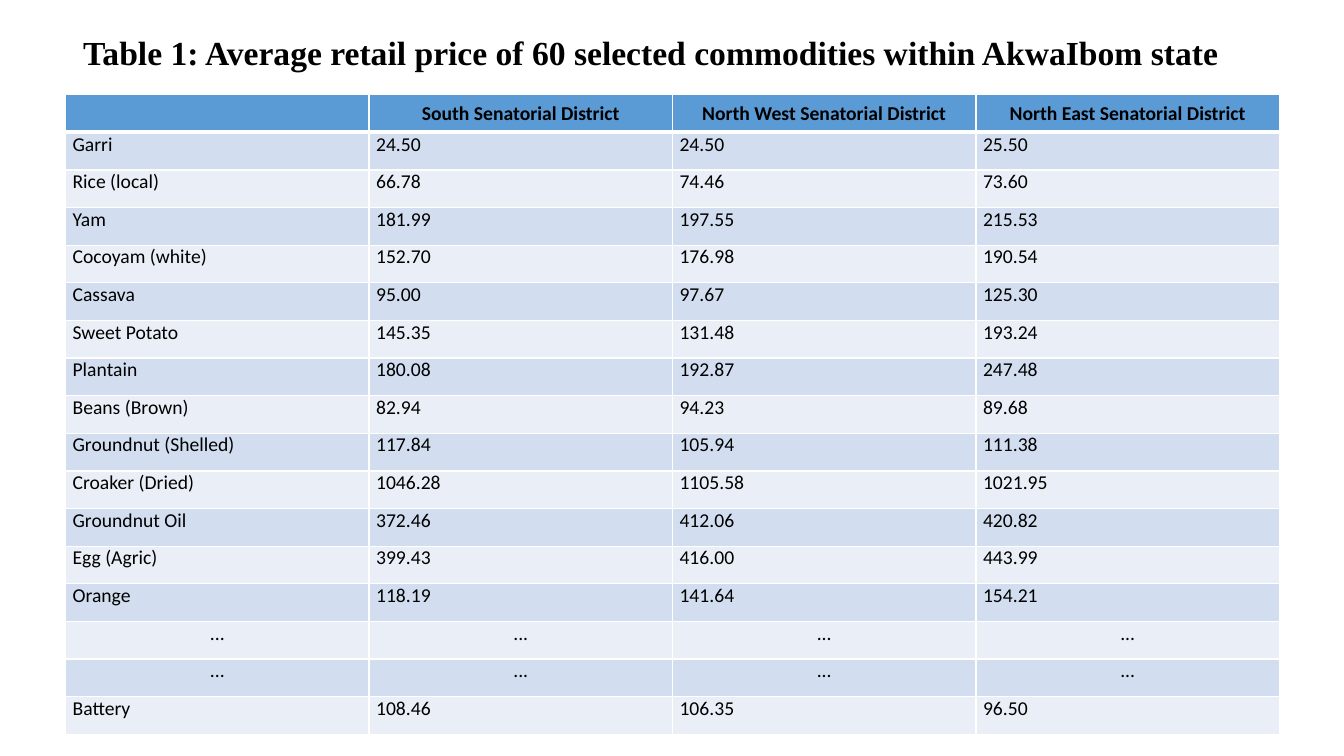
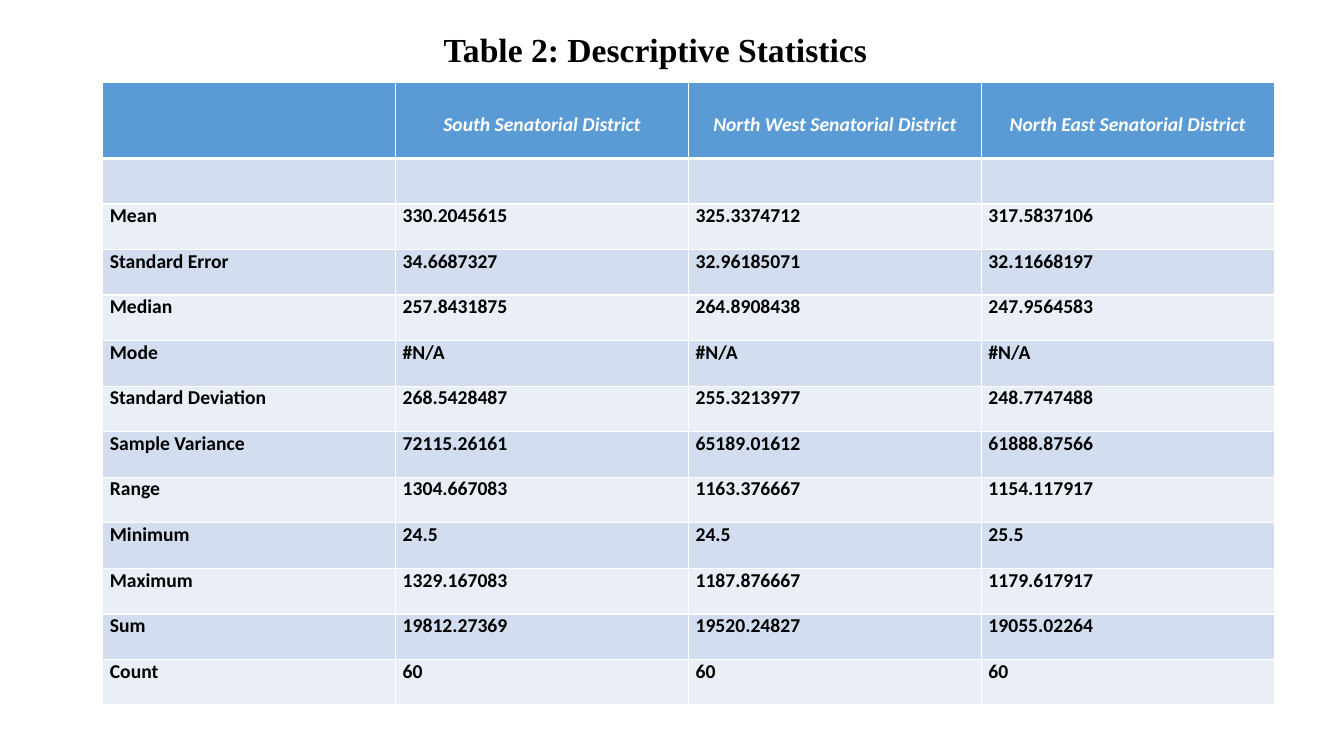
from dataclasses import dataclass

from lxml import etree
from pptx import Presentation
from pptx.dml.color import RGBColor
from pptx.enum.text import MSO_ANCHOR, MSO_AUTO_SIZE, PP_ALIGN
from pptx.oxml.ns import qn
from pptx.util import Inches, Pt

CENTER, LEFT = PP_ALIGN.CENTER, PP_ALIGN.LEFT
MIDDLE, TOP = MSO_ANCHOR.MIDDLE, MSO_ANCHOR.TOP
GROW = MSO_AUTO_SIZE.SHAPE_TO_FIT_TEXT
BLANK_LAYOUT = 6
DISTRICTS = ["", "South Senatorial District", "North West Senatorial District",
             "North East Senatorial District"]
GAP_MARK = "..."

PRICES = [
    ["Garri", "24.50", "24.50", "25.50"],
    ["Rice (local)", "66.78", "74.46", "73.60"],
    ["Yam", "181.99", "197.55", "215.53"],
    ["Cocoyam (white)", "152.70", "176.98", "190.54"],
    ["Cassava", "95.00", "97.67", "125.30"],
    ["Sweet Potato", "145.35", "131.48", "193.24"],
    ["Plantain", "180.08", "192.87", "247.48"],
    ["Beans (Brown)", "82.94", "94.23", "89.68"],
    ["Groundnut (Shelled)", "117.84", "105.94", "111.38"],
    ["Croaker (Dried)", "1046.28", "1105.58", "1021.95"],
    ["Groundnut Oil", "372.46", "412.06", "420.82"],
    ["Egg (Agric)", "399.43", "416.00", "443.99"],
    ["Orange", "118.19", "141.64", "154.21"],
    [GAP_MARK] * 4,
    [GAP_MARK] * 4,
    ["Battery", "108.46", "106.35", "96.50"],
]

STATISTICS = [
    [""] * 4,
    ["Mean", "330.2045615", "325.3374712", "317.5837106"],
    ["Standard Error", "34.6687327", "32.96185071", "32.11668197"],
    ["Median", "257.8431875", "264.8908438", "247.9564583"],
    ["Mode", "#N/A", "#N/A", "#N/A"],
    ["Standard Deviation", "268.5428487", "255.3213977", "248.7747488"],
    ["Sample Variance", "72115.26161", "65189.01612", "61888.87566"],
    ["Range", "1304.667083", "1163.376667", "1154.117917"],
    ["Minimum", "24.5", "24.5", "25.5"],
    ["Maximum", "1329.167083", "1187.876667", "1179.617917"],
    ["Sum", "19812.27369", "19520.24827", "19055.02264"],
    ["Count", "60", "60", "60"],
]


@dataclass(frozen=True)
class Theme:
    ink: str = "000000"
    white: str = "FFFFFF"
    header: str = "5B9BD5"
    bands: tuple = ("D2DEEF", "EAEFF7")
    title_font: str = "Times New Roman"
    table_font: str = "Calibri"
    title_size: int = 24
    table_size: int = 14
    rule: int = 1
    header_rule: int = 3
    cell_inset: float = 0.07


@dataclass(frozen=True)
class CellStyle:
    color: str
    bold: bool = False
    italic: bool = False
    spacing: float = 1.0


class TableDeck:
    """Builds slides; every length is a percentage of the slide's width or height."""

    def __init__(self, theme):
        self.theme = theme
        self.deck = Presentation()
        self.deck.slide_width = Inches(13.33)
        self.deck.slide_height = Inches(7.5)
        self.page = None

    def across(self, percent):
        return round(self.deck.slide_width * percent / 100)

    def down(self, percent):
        return round(self.deck.slide_height * percent / 100)

    def add_page(self):
        self.page = self.deck.slides.add_slide(self.deck.slide_layouts[BLANK_LAYOUT])

    def style_text(self, para, font_name, size, style):
        for span in para.runs:
            font = span.font
            font.name, font.size = font_name, Pt(size)
            font.bold, font.italic = style.bold, style.italic
            font.color.rgb = RGBColor.from_string(style.color)

    def add_title(self, text, left, top, width):
        box = self.page.shapes.add_textbox(
            self.across(left), self.down(top), self.across(width), self.down(6.67))
        frame = box.text_frame
        frame.word_wrap = True
        frame.auto_size = GROW
        frame.text = text
        para = frame.paragraphs[0]
        para.alignment = CENTER
        self.style_text(para, self.theme.title_font, self.theme.title_size,
                        CellStyle(self.theme.ink, bold=True))

    def add_borders(self, cell, top, bottom):
        properties = cell._tc.get_or_add_tcPr()
        widths = {"a:lnL": self.theme.rule, "a:lnR": self.theme.rule,
                  "a:lnT": top, "a:lnB": bottom}
        for position, (tag, width) in enumerate(widths.items()):
            line = etree.Element(qn(tag), w=str(Pt(width)))
            fill = etree.SubElement(line, qn("a:solidFill"))
            etree.SubElement(fill, qn("a:srgbClr"), val=self.theme.white)
            properties.insert(position, line)

    def fill_cell(self, cell, text, fill, style, is_header):
        cell.fill.solid()
        cell.fill.fore_color.rgb = RGBColor.from_string(fill)
        cell.margin_left = cell.margin_right = Inches(self.theme.cell_inset)
        cell.margin_top = cell.margin_bottom = 0
        cell.vertical_anchor = MIDDLE if is_header else TOP
        cell.text_frame.text = text
        para = cell.text_frame.paragraphs[0]
        para.alignment = CENTER if is_header or text == GAP_MARK else LEFT
        para.line_spacing = style.spacing
        self.style_text(para, self.theme.table_font, self.theme.table_size, style)

    def add_table(self, rows, left, top, width, header_height, row_height,
                  header_style, body_style):
        theme = self.theme
        heights = [header_height] + [row_height] * len(rows)
        content = [DISTRICTS] + rows
        table = self.page.shapes.add_table(
            len(content), len(DISTRICTS), self.across(left), self.down(top),
            self.across(width), self.down(sum(heights))).table
        table.horz_banding = False
        for row_index, texts in enumerate(content):
            is_header = row_index == 0
            table.rows[row_index].height = self.down(heights[row_index])
            fill = theme.header if is_header else theme.bands[(row_index - 1) % 2]
            style = header_style if is_header else body_style
            top_rule = theme.header_rule if row_index == 1 else theme.rule
            bottom_rule = theme.header_rule if is_header else theme.rule
            for column_index, text in enumerate(texts):
                cell = table.cell(row_index, column_index)
                self.fill_cell(cell, text, fill, style, is_header)
                self.add_borders(cell, top_rule, bottom_rule)


def main():
    theme = Theme()
    builder = TableDeck(theme)

    builder.add_page()
    builder.add_table(PRICES, 4.88, 12.53, 90.32, 4.98, 4.98,
                      CellStyle(theme.ink, bold=True), CellStyle(theme.ink))
    builder.add_title("Table 1: Average retail price of 60 selected commodities "
                      "within AkwaIbom state", 4.88, 3.6, 87.1)

    builder.add_page()
    builder.add_table(STATISTICS, 7.65, 10.85, 87.17, 10.1, 6.03,
                      CellStyle(theme.white, bold=True, italic=True, spacing=1.4),
                      CellStyle(theme.ink, bold=True))
    builder.add_title("Table 2: Descriptive Statistics", 5.63, 3.2, 86.27)

    builder.deck.save("out.pptx")


if __name__ == "__main__":
    main()
